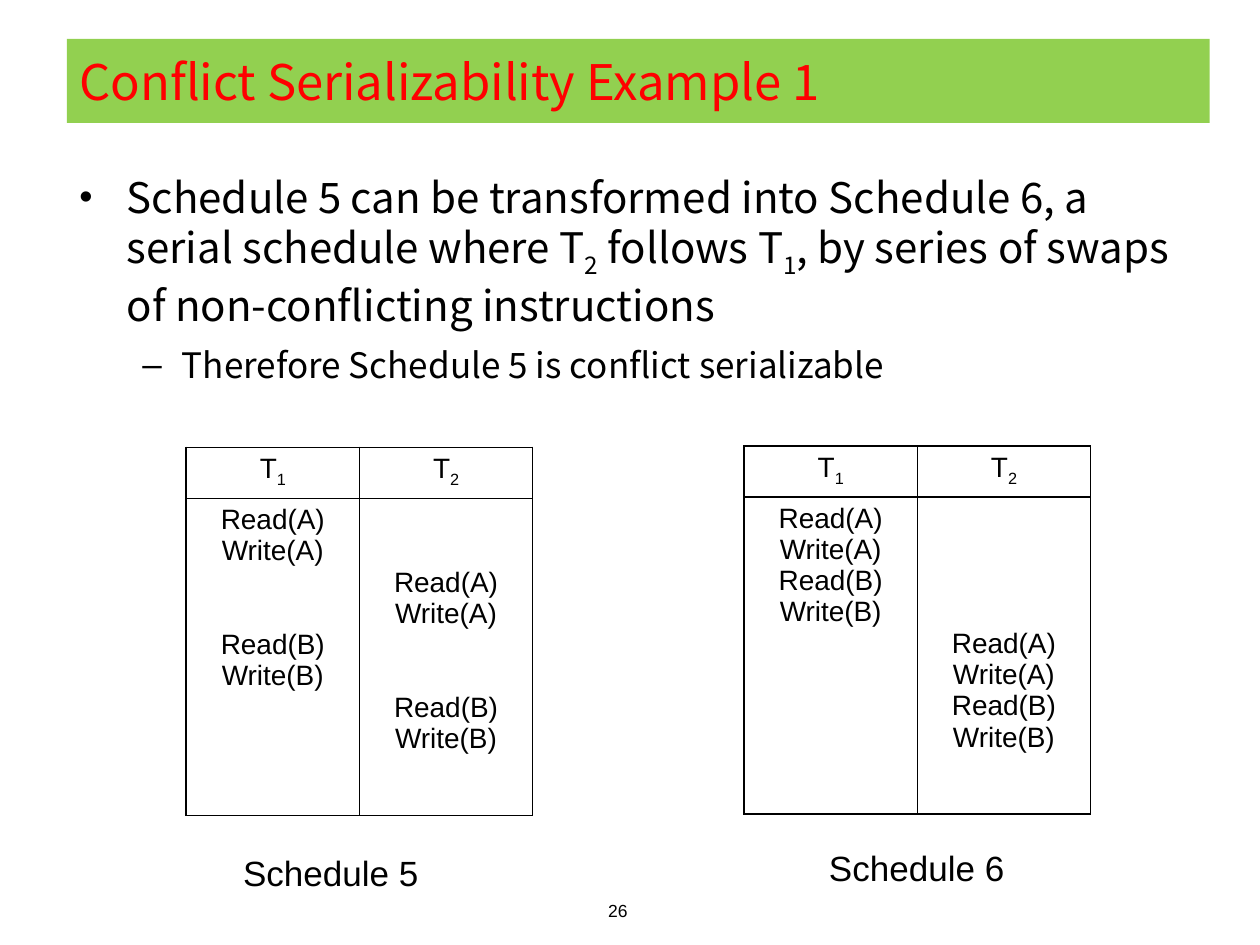
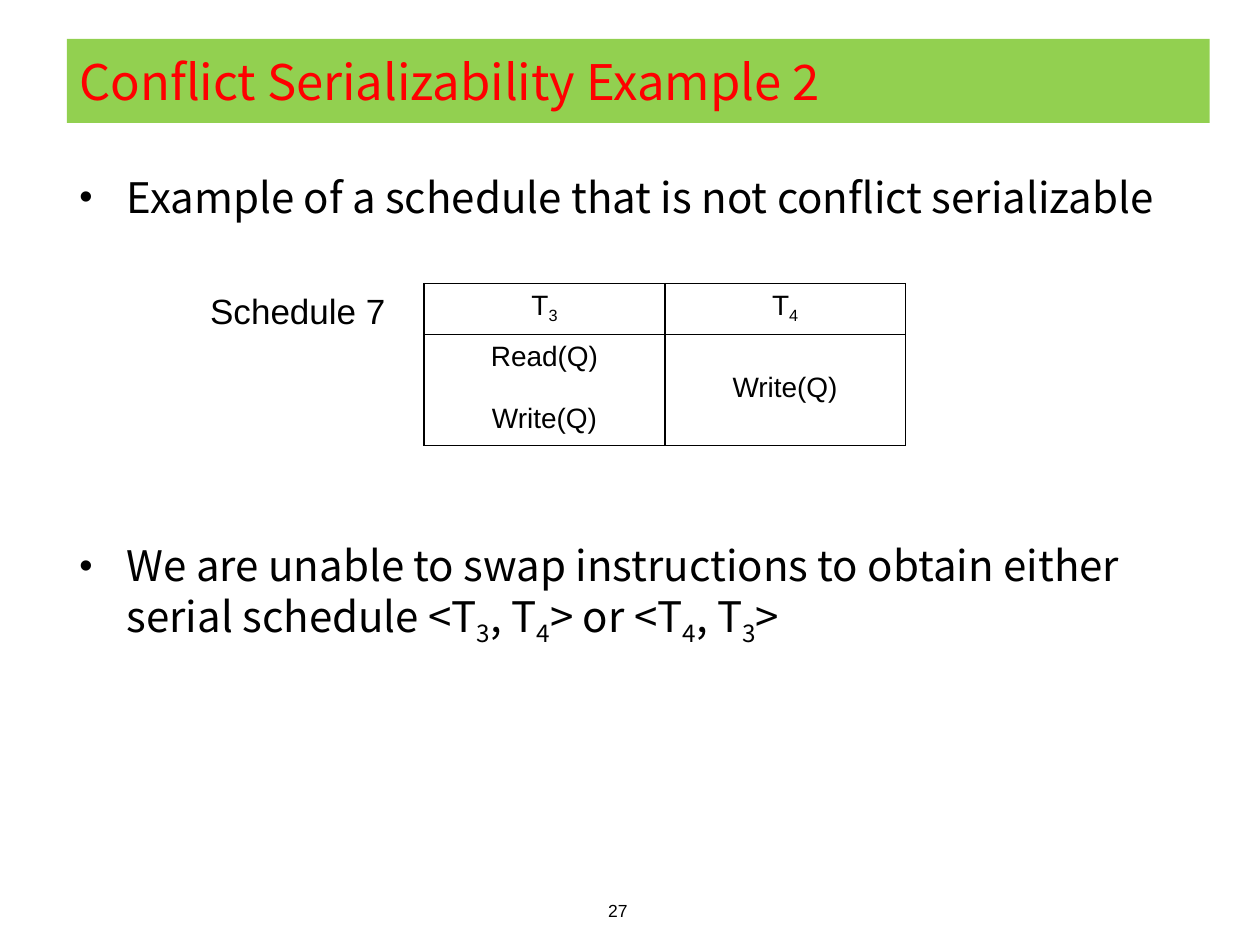
from lxml import etree
from pptx import Presentation
from pptx.dml.color import RGBColor
from pptx.enum import text as txt
from pptx.oxml import ns
from pptx.util import Pt

# Shared look
RED = RGBColor(0xFF, 0x00, 0x00)
GREEN = RGBColor(0x92, 0xD0, 0x50)
BLACK = RGBColor(0x00, 0x00, 0x00)
HEAD_FONT = "Noto Sans CJK KR"
PLAIN_FONT = "Arial"
LEFT, CENTER = txt.PP_ALIGN.LEFT, txt.PP_ALIGN.CENTER

# Boxes are left, top, width, height in points
TITLE_BOX = (38.2, 22.2, 653, 48)
BODY_BOX = (38.2, 94.4, 653.8, 402.4)
NUMBER_BOX = (339.8, 510.5, 26.6, 19.4)
HEADER_HEIGHT = 29.2
STEP_HEIGHT = 17.9
CELL_MARGIN = 3.6


def write(para, text, font=PLAIN_FONT, size=16, color=BLACK, align=LEFT, before=0):
    """Fill a paragraph; the character after each underscore is a subscript."""
    para.alignment = align
    para.space_before = Pt(before)
    plain, *rest = text.split("_")
    pieces = [(plain, False)]
    for part in rest:
        pieces += [(part[0], True), (part[1:], False)]
    for piece, lowered in pieces:
        if not piece:
            continue
        span = para.add_run()
        span.text = piece
        span.font.name, span.font.size = font, Pt(size)
        span.font.color.rgb = color
        if lowered:
            span._r.get_or_add_rPr().set("baseline", "-25000")


def place(shape, box):
    shape.left, shape.top, shape.width, shape.height = map(Pt, box)


def add_label(page, box, text, **style):
    label = page.shapes.add_textbox(*map(Pt, box))
    label.text_frame.word_wrap = False
    write(label.text_frame.paragraphs[0], text, **style)


def add_title(page, box, text):
    title = page.shapes.title
    place(title, box)
    title.fill.solid()
    title.fill.fore_color.rgb = GREEN
    frame = title.text_frame
    frame.auto_size = txt.MSO_AUTO_SIZE.NONE
    frame.vertical_anchor = txt.MSO_ANCHOR.MIDDLE
    write(frame.paragraphs[0], text, font=HEAD_FONT, size=28, color=RED)


def add_bullets(page, box, bullets):
    """Each bullet is its level, the space before it and its text."""
    body = page.placeholders[1]
    place(body, box)
    frame = body.text_frame
    frame.auto_size = txt.MSO_AUTO_SIZE.NONE
    for index, (level, before, text) in enumerate(bullets):
        para = frame.add_paragraph() if index else frame.paragraphs[0]
        para.level = level
        write(para, text, font=HEAD_FONT, size=20 if level else 24, before=before)
        if level == 0:
            size = etree.SubElement(para._p.get_or_add_pPr(), ns.qn("a:buSzPct"))
            size.set("val", "90000")


def outline(cell):
    """Draw a thin black border on all four sides of a cell."""
    cell.fill.background()
    properties = cell._tc.get_or_add_tcPr()
    for index, side in enumerate(("lnL", "lnR", "lnT", "lnB")):
        line = etree.Element(ns.qn(f"a:{side}"), w=str(Pt(1)))
        fill = etree.SubElement(line, ns.qn("a:solidFill"))
        etree.SubElement(fill, ns.qn("a:srgbClr"), val=str(BLACK))
        properties.insert(index, line)


def add_schedule(page, box, transactions):
    """One column per transaction, its instructions placed at their steps."""
    left, top, width, height = box
    frame = page.shapes.add_table(2, len(transactions), *map(Pt, box))
    table = frame.table
    table.first_row = table.horz_banding = False
    table.rows[0].height = Pt(HEADER_HEIGHT)
    table.rows[1].height = Pt(height - HEADER_HEIGHT)
    for column, (name, steps) in enumerate(transactions.items()):
        table.columns[column].width = Pt(width / len(transactions))
        header, cell = table.cell(0, column), table.cell(1, column)
        outline(header)
        outline(cell)
        write(header.text_frame.paragraphs[0], name, align=CENTER)
        first = min(steps)
        cell.margin_top = Pt(CELL_MARGIN + first * STEP_HEIGHT)
        previous = first - 1
        for step, instruction in steps.items():
            text_frame = cell.text_frame
            para = text_frame.paragraphs[0] if step == first else text_frame.add_paragraph()
            gap = (step - previous - 1) * STEP_HEIGHT
            write(para, instruction, align=CENTER, before=gap)
            previous = step


def add_page(deck, number, title, bullets):
    page = deck.slides.add_slide(deck.slide_layouts[1])
    add_title(page, TITLE_BOX, title)
    add_bullets(page, BODY_BOX, bullets)
    add_label(page, NUMBER_BOX, str(number), size=10, align=CENTER)
    return page


def run_at(*steps):
    """Put the four instructions on A and B at the given steps."""
    return dict(zip(steps, ("Read(A)", "Write(A)", "Read(B)", "Write(B)")))


def build_swap_example(deck):
    page = add_page(deck, 26, "Conflict Serializability Example 1", [
        (0, 0, "Schedule 5 can be transformed into Schedule 6, a serial schedule "
               "where T_2 follows T_1, by series of swaps of non-conflicting instructions"),
        (1, 8, "Therefore Schedule 5 is conflict serializable"),
    ])
    add_label(page, (131.8, 483.2, 115.9, 31.6), "Schedule 5", size=20)
    add_label(page, (466.6, 480.2, 114.5, 31), "Schedule 6", size=20)
    add_schedule(page, (425.2, 254.8, 198, 210.4),
                 {"T_1": run_at(0, 1, 2, 3), "T_2": run_at(4, 5, 6, 7)})
    add_schedule(page, (106.4, 255.6, 198, 210.4),
                 {"T_1": run_at(0, 1, 4, 5), "T_2": run_at(2, 3, 6, 7)})


def build_conflict_example(deck):
    page = add_page(deck, 27, "Conflict Serializability Example 2", [
        (0, 0, "Example of a schedule that is not conflict serializable"),
        (0, 181.7, "We are unable to swap instructions to obtain either serial "
                   "schedule <T_3, T_4> or <T_4, T_3>"),
    ])
    add_schedule(page, (242.4, 162, 275, 90),
                 {"T_3": {0: "Read(Q)", 2: "Write(Q)"}, "T_4": {1: "Write(Q)"}})
    add_label(page, (113, 162, 115.9, 31.6), "Schedule 7", size=20)


def main():
    deck = Presentation()
    deck.slide_width, deck.slide_height = Pt(720), Pt(540)
    build_swap_example(deck)
    build_conflict_example(deck)
    deck.save("out.pptx")


if __name__ == "__main__":
    main()
